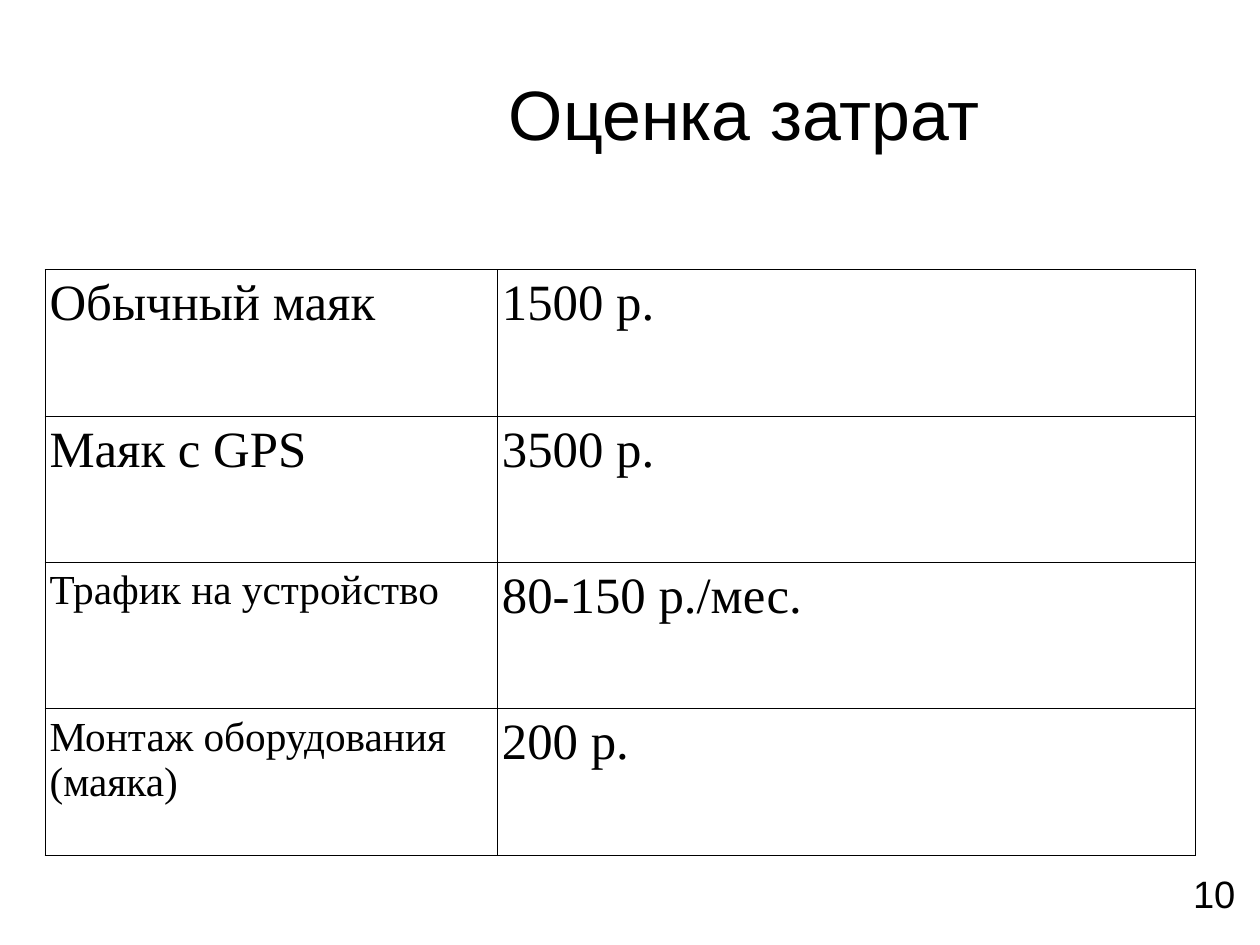
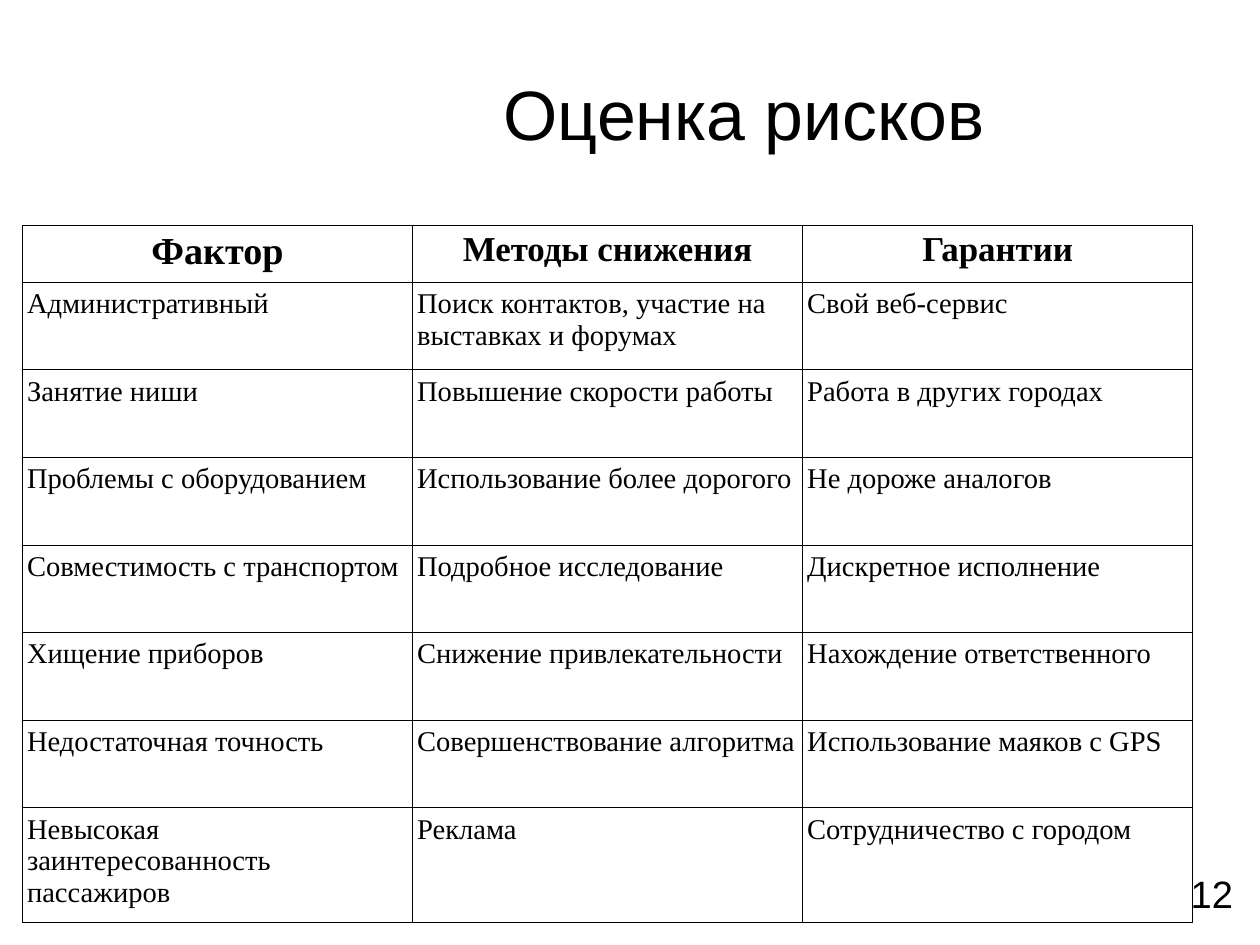
from dataclasses import dataclass
from lxml.etree import SubElement
from pptx import Presentation
from pptx.dml.color import RGBColor
from pptx.enum.text import MSO_ANCHOR, MSO_AUTO_SIZE, PP_ALIGN
from pptx.oxml.ns import qn
from pptx.util import Pt


@dataclass(frozen=True)
class Theme:
    """Hold the colours, fonts, type sizes and line width of the deck."""
    ink: str = "000000"
    head_font: str = "Arial"
    table_font: str = "Times New Roman"
    title: int = 44
    number: int = 24
    large: int = 32
    medium: int = 26
    first_header: int = 24
    header: int = 22
    body: int = 18
    border: float = 0.68


T = Theme()

COSTS = [
    ("Обычный маяк", "1500 р."),
    ("Маяк с GPS", "3500 р."),
    ("Трафик на устройство", "80-150 р./мес."),
    ("Монтаж оборудования (маяка)", "200 р."),
]
COST_SIZES = [(T.large, T.large)] * 2 + [(T.medium, T.large)] * 2

RISKS = [
    ("Фактор", "Методы снижения", "Гарантии"),
    ("Административный", "Поиск контактов, участие на выставках и форумах", "Свой веб-сервис"),
    ("Занятие ниши", "Повышение скорости работы", "Работа в других городах"),
    ("Проблемы с оборудованием", "Использование более дорогого", "Не дороже аналогов"),
    ("Совместимость с транспортом", "Подробное исследование", "Дискретное исполнение"),
    ("Хищение приборов", "Снижение привлекательности", "Нахождение ответственного"),
    ("Недостаточная точность", "Совершенствование алгоритма", "Использование маяков с GPS"),
    ("Невысокая заинтересованность пассажиров", "Реклама", "Сотрудничество с городом"),
]
RISK_SIZES = [(T.first_header, T.header, T.header)] + [(T.body,) * 3] * (len(RISKS) - 1)


def write(tf, text, font, size, bold=False, align=PP_ALIGN.LEFT):
    """Put one formatted paragraph in a text frame and return it."""
    tf.text = text
    p = tf.paragraphs[0]
    p.alignment = align
    r = p.runs[0]
    r.font.name = font
    r.font.size = Pt(size)
    r.font.bold = bold
    r.font.color.rgb = RGBColor.from_string(T.ink)
    return p


def add_title(s, text):
    """Add the slide title, centred in its band."""
    tf = s.shapes.add_textbox(Pt(184.25), Pt(0), Pt(569.5), Pt(147)).text_frame
    tf.word_wrap = True
    tf.vertical_anchor = MSO_ANCHOR.MIDDLE
    tf.margin_left = tf.margin_right = tf.margin_top = tf.margin_bottom = Pt(0)
    write(tf, text, T.head_font, T.title, align=PP_ALIGN.CENTER).line_spacing = 0.93


def add_number(s, number, left):
    """Add the slide number in the lower right corner."""
    tf = s.shapes.add_textbox(Pt(left), Pt(547.2), Pt(41), Pt(34)).text_frame
    tf.word_wrap = False
    tf.auto_size = MSO_AUTO_SIZE.SHAPE_TO_FIT_TEXT
    write(tf, str(number), T.head_font, T.number).line_spacing = 0.93


def add_borders(cell):
    """Draw a thin line on all four sides of a cell."""
    tc_pr = cell._tc.get_or_add_tcPr()
    for side in ("lnL", "lnR", "lnT", "lnB"):
        ln = SubElement(tc_pr, qn(f"a:{side}"), w=str(Pt(T.border)))
        fill = SubElement(ln, qn("a:solidFill"))
        SubElement(fill, qn("a:srgbClr"), val=T.ink)


def add_grid(s, left, top, widths, heights, rows, sizes, header=False):
    """Add a bordered table without fill, with an optional bold header row."""
    frame = s.shapes.add_table(len(rows), len(widths), Pt(left), Pt(top),
                               Pt(sum(widths)), Pt(sum(heights)))
    table = frame.table
    table.first_row = header
    table.horz_banding = False
    for col, width in zip(table.columns, widths):
        col.width = Pt(width)
    for i, (row, height) in enumerate(zip(table.rows, heights)):
        row.height = Pt(height)
        bold = header and i == 0
        align = PP_ALIGN.CENTER if bold else PP_ALIGN.LEFT
        for cell, text, size in zip(row.cells, rows[i], sizes[i]):
            cell.margin_left = cell.margin_right = Pt(2.88)
            cell.margin_top = cell.margin_bottom = Pt(3.6)
            add_borders(cell)
            cell.fill.background()
            write(cell.text_frame, text, T.table_font, size, bold, align)


def add_slide(prs, title, number, number_left):
    """Add a blank slide with its title and number."""
    s = prs.slides.add_slide(prs.slide_layouts[6])
    add_title(s, title)
    add_number(s, number, number_left)
    return s


def main():
    """Build and save the deck."""
    prs = Presentation()
    prs.slide_width, prs.slide_height = Pt(793.75), Pt(595.25)

    s = add_slide(prs, "Оценка затрат", 10, 744.5)
    add_grid(s, 28.35, 170, [285, 440], [92.16] * 4, COSTS, COST_SIZES)

    s = add_slide(prs, "Оценка рисков", 12, 743)
    add_grid(s, 14.17, 141.75, [245.75] * 3, [36] + [55.2] * 6 + [72],
             RISKS, RISK_SIZES, header=True)

    prs.save("out.pptx")


if __name__ == "__main__":
    main()
